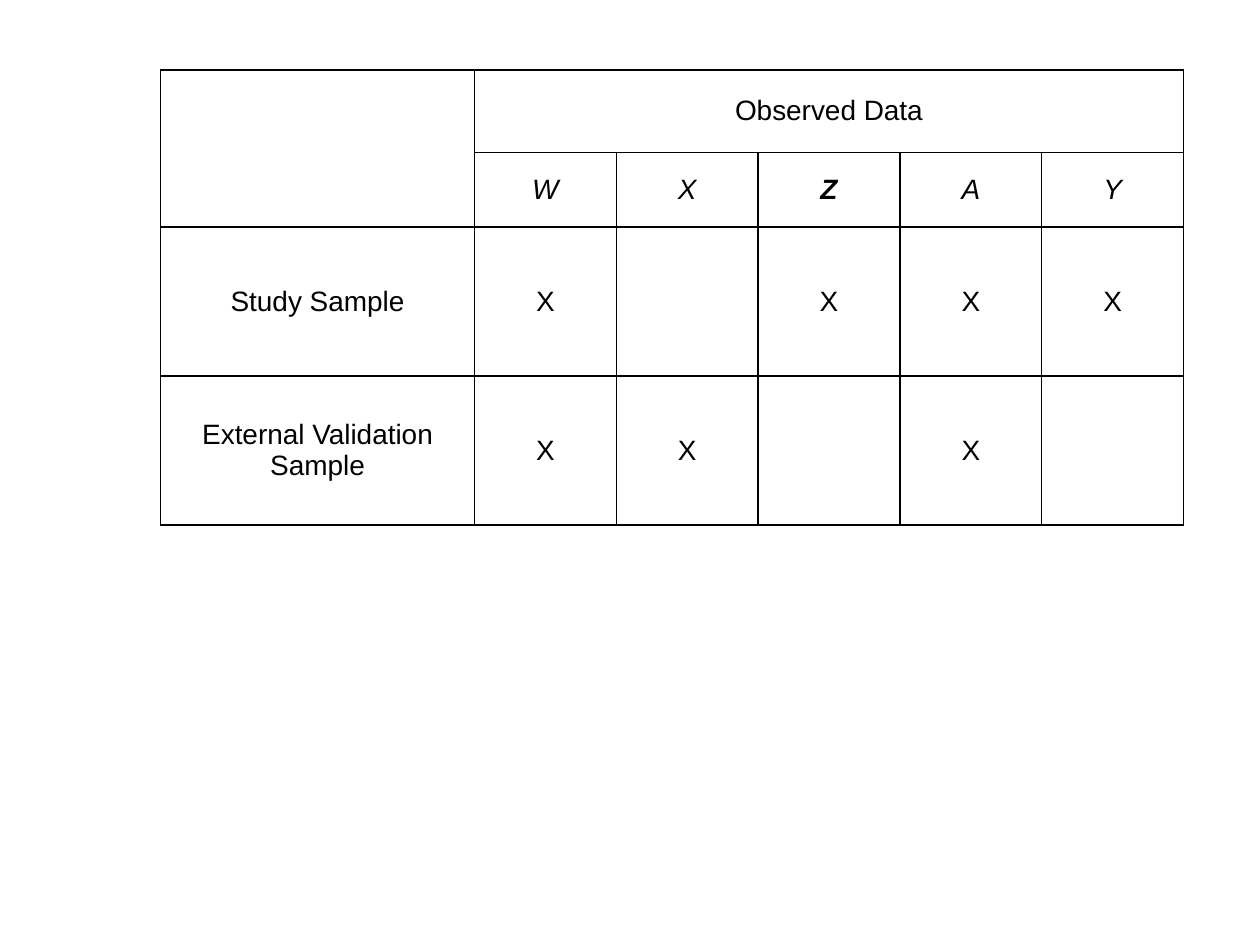
from lxml.etree import SubElement
from pptx import Presentation
from pptx.dml.color import RGBColor
from pptx.enum.text import MSO_ANCHOR, PP_ALIGN
from pptx.oxml.ns import qn
from pptx.util import Pt

BLACK = RGBColor(0, 0, 0)
FONT = "Arial"
VARIABLES = ["W", "X", "Z", "A", "Y"]
SAMPLES = {
    "Study Sample": "WZAY",
    "External Validation Sample": "WXA",
}
LABEL_WIDTH = 179.3
VARIABLE_WIDTH = 81.05
ROW_HEIGHTS = [47.1, 42.6, 85.2, 85.2]


def add_borders(cell):
    properties = cell._tc.get_or_add_tcPr()
    for side in ("lnL", "lnR", "lnT", "lnB"):
        border = SubElement(properties, qn(f"a:{side}"), w=str(Pt(1)))
        color = SubElement(SubElement(border, qn("a:solidFill")), qn("a:srgbClr"))
        color.set("val", str(BLACK))


def style_cell(cell):
    add_borders(cell)
    cell.fill.background()
    cell.vertical_anchor = MSO_ANCHOR.MIDDLE


def write_cell(cell, text, bold=False, italic=False):
    cell.text_frame.text = text
    paragraph = cell.text_frame.paragraphs[0]
    paragraph.alignment = PP_ALIGN.CENTER
    for run in paragraph.runs:
        run.font.name = FONT
        run.font.size = Pt(16)
        run.font.bold = bold
        run.font.italic = italic
        run.font.color.rgb = BLACK


def add_grid(slide):
    widths = [LABEL_WIDTH] + [VARIABLE_WIDTH] * len(VARIABLES)
    frame = slide.shapes.add_table(
        len(ROW_HEIGHTS), len(widths), Pt(91.8), Pt(40),
        Pt(sum(widths)), Pt(sum(ROW_HEIGHTS)))
    grid = frame.table
    grid.first_row = False
    grid.horz_banding = False
    for column, width in zip(grid.columns, widths):
        column.width = Pt(width)
    for row, height in zip(grid.rows, ROW_HEIGHTS):
        row.height = Pt(height)
    for cell in grid.iter_cells():
        style_cell(cell)
    return grid


def fill_header(grid):
    grid.cell(0, 0).merge(grid.cell(1, 0))
    grid.cell(0, 1).merge(grid.cell(0, len(VARIABLES)))
    write_cell(grid.cell(0, 1), "Observed Data")
    for column, variable in enumerate(VARIABLES, 1):
        write_cell(grid.cell(1, column), variable, bold=variable == "Z", italic=True)


def fill_samples(grid):
    for row, (sample, observed) in enumerate(SAMPLES.items(), 2):
        write_cell(grid.cell(row, 0), sample)
        for column, variable in enumerate(VARIABLES, 1):
            if variable in observed:
                write_cell(grid.cell(row, column), "X")


def main():
    presentation = Presentation()
    presentation.slide_width = Pt(720)
    presentation.slide_height = Pt(540)
    slide = presentation.slides.add_slide(presentation.slide_layouts[6])
    grid = add_grid(slide)
    fill_header(grid)
    fill_samples(grid)
    presentation.save("out.pptx")


main()
